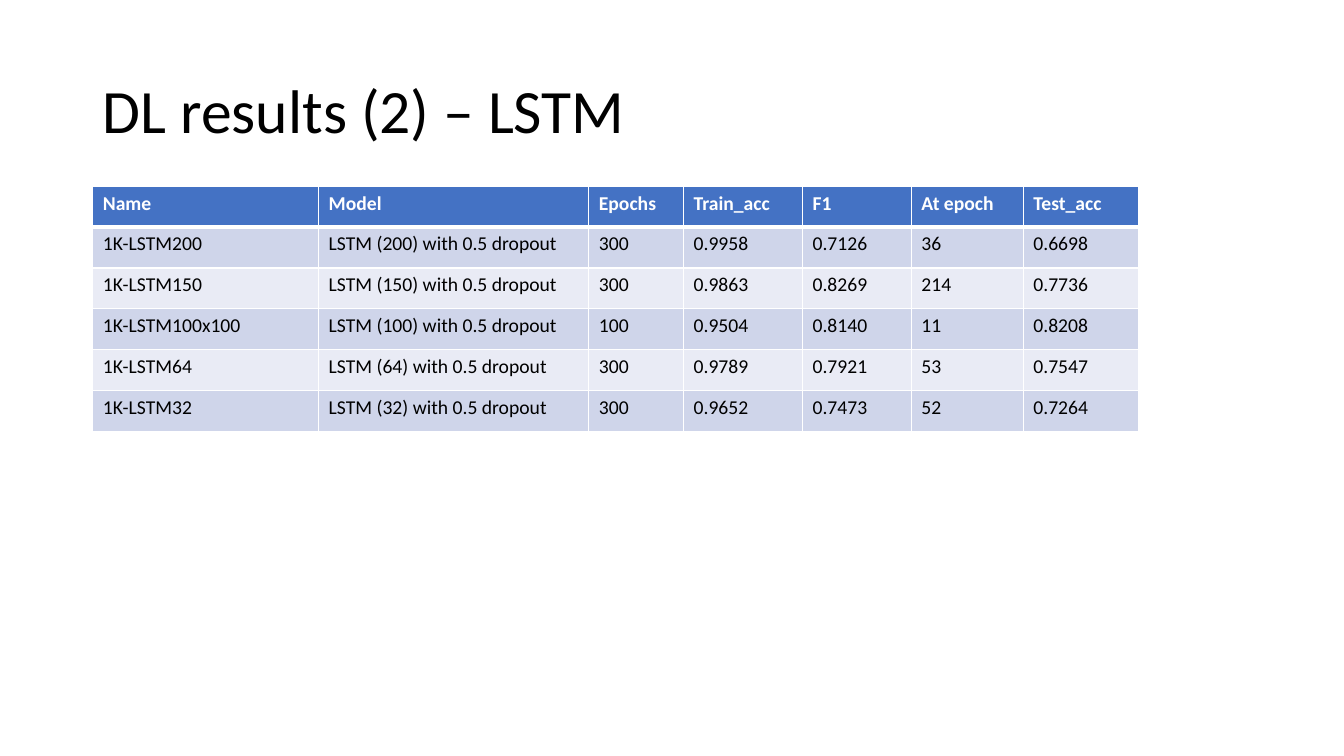
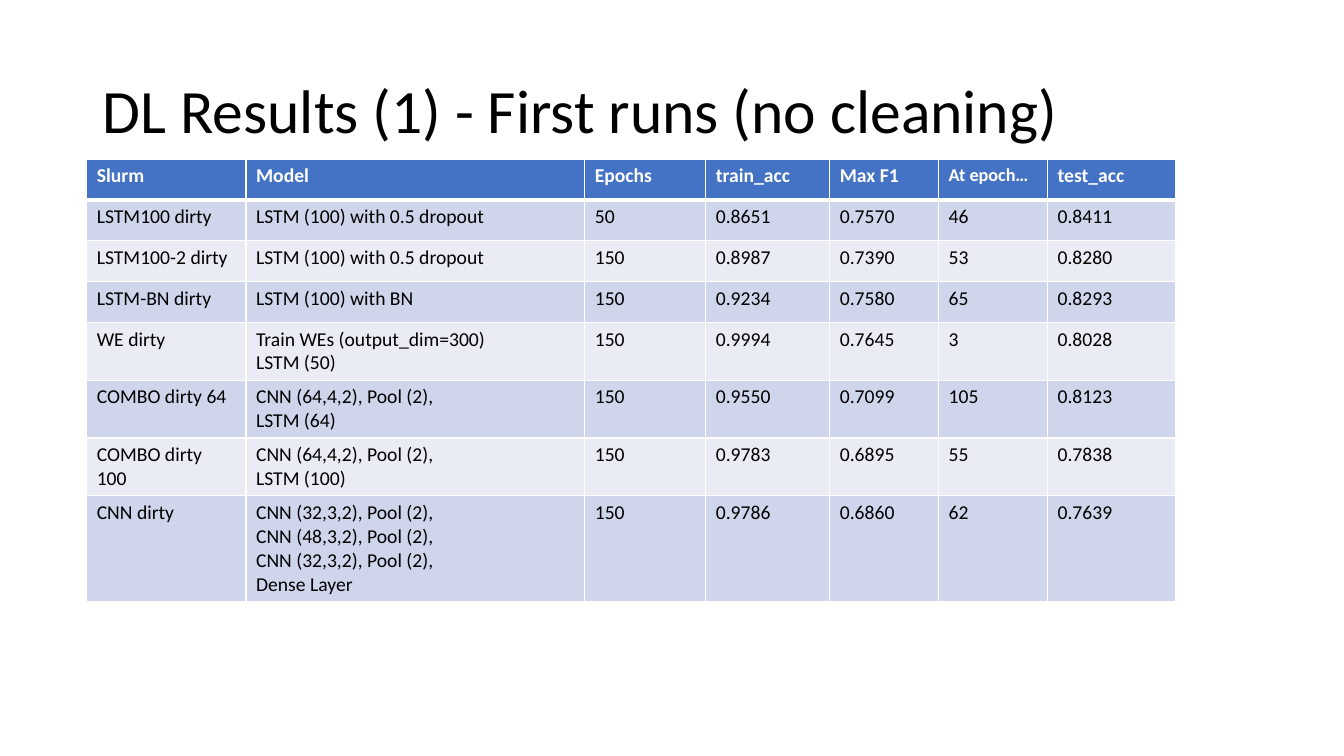
"""Builds two slides of deep-learning results, each a title over a banded table."""
from lxml.etree import SubElement
from pptx import Presentation
from pptx.dml.color import RGBColor
from pptx.enum.text import MSO_ANCHOR, PP_ALIGN
from pptx.oxml.ns import qn
from pptx.util import Inches, Pt

FONT = "Calibri"
BLACK, WHITE, BLUE = "000000", "FFFFFF", "4472C4"
BANDS = ("CFD5EA", "E9EBF5")
ROW, PAD, LINE = 2.43 / 6, 0.1, 0.235

SLIDES = [
    {
        "title": "DL results (2) – LSTM",
        "at": (0.92, 1.85),
        "cols": (2.24, 2.68, 0.94, 1.18, 1.08, 1.11, 1.14),
        "rows": [
            ("Name", "Model", "Epochs", "Train_acc", "F1", "At epoch", "Test_acc"),
            ("1K-LSTM200", "LSTM (200) with 0.5 dropout", "300", "0.9958", "0.7126", "36", "0.6698"),
            ("1K-LSTM150", "LSTM (150) with 0.5 dropout", "300", "0.9863", "0.8269", "214", "0.7736"),
            ("1K-LSTM100x100", "LSTM (100) with 0.5 dropout", "100", "0.9504", "0.8140", "11", "0.8208"),
            ("1K-LSTM64", "LSTM (64) with 0.5 dropout", "300", "0.9789", "0.7921", "53", "0.7547"),
            ("1K-LSTM32", "LSTM (32) with 0.5 dropout", "300", "0.9652", "0.7473", "52", "0.7264"),
        ],
    },
    {
        "title": "DL Results (1) - First runs (no cleaning)",
        "at": (0.86, 1.58),
        "cols": (1.58, 3.36, 1.2, 1.23, 1.08, 1.08, 1.27),
        "rows": [
            ("Slurm", "Model", "Epochs", "train_acc", "Max F1", "At epoch…", "test_acc"),
            ("LSTM100 dirty", "LSTM (100) with 0.5 dropout", "50", "0.8651", "0.7570", "46", "0.8411"),
            ("LSTM100-2 dirty", "LSTM (100) with 0.5 dropout", "150", "0.8987", "0.7390", "53", "0.8280"),
            ("LSTM-BN dirty", "LSTM (100) with BN", "150", "0.9234", "0.7580", "65", "0.8293"),
            ("WE dirty", "Train WEs (output_dim=300)\nLSTM (50)", "150", "0.9994", "0.7645", "3", "0.8028"),
            ("COMBO dirty 64", "CNN (64,4,2), Pool (2),\nLSTM (64)", "150", "0.9550", "0.7099", "105", "0.8123"),
            ("COMBO dirty 100", "CNN (64,4,2), Pool (2),\nLSTM (100)", "150", "0.9783", "0.6895", "55", "0.7838"),
            ("CNN dirty",
             "CNN (32,3,2), Pool (2),\nCNN (48,3,2), Pool (2),\nCNN (32,3,2), Pool (2),\nDense Layer",
             "150", "0.9786", "0.6860", "62", "0.7639"),
        ],
    },
]
SMALL = {"At epoch…": 13}


def color(code):
    return RGBColor.from_string(code)


def write(frame, text, size, ink, bold=False):
    for i, line in enumerate(text.split("\n")):
        para = frame.add_paragraph() if i else frame.paragraphs[0]
        run = para.add_run()
        run.text = line
        run.font.name, run.font.size, run.font.bold = FONT, Pt(size), bold
        run.font.color.rgb = color(ink)


def border(cell, row):
    props = cell._tc.get_or_add_tcPr()
    thick = {"lnT": row == 1, "lnB": row == 0}
    for side in ("lnL", "lnR", "lnT", "lnB"):
        edge = SubElement(props, qn(f"a:{side}"), w=str(Pt(3 if thick.get(side) else 1)))
        fill = SubElement(edge, qn("a:solidFill"))
        SubElement(fill, qn("a:srgbClr"), val=WHITE)


def add_title(slide, text):
    title = slide.shapes.title
    title.left, title.top = Inches(0.92), Inches(0.4)
    title.width, title.height = Inches(11.5), Inches(1.45)
    frame = title.text_frame
    frame.vertical_anchor = MSO_ANCHOR.MIDDLE
    write(frame, text, 44, BLACK)
    frame.paragraphs[0].alignment = PP_ALIGN.LEFT
    frame.paragraphs[0].line_spacing = 0.9


def add_grid(slide, at, cols, rows):
    tall = [max(ROW, PAD + LINE * (row[1].count("\n") + 1)) for row in rows]
    box = [Inches(n) for n in (*at, sum(cols), sum(tall))]
    table = slide.shapes.add_table(len(rows), len(cols), *box).table
    for col, width in zip(table.columns, cols):
        col.width = Inches(width)
    for r, row in enumerate(rows):
        table.rows[r].height = Inches(tall[r])
        head = r == 0
        for c, text in enumerate(row):
            cell = table.cell(r, c)
            border(cell, r)
            cell.fill.solid()
            cell.fill.fore_color.rgb = color(BLUE if head else BANDS[(r - 1) % 2])
            write(cell.text_frame, text, SMALL.get(text, 14), WHITE if head else BLACK, head)


def main():
    deck = Presentation()
    deck.slide_width, deck.slide_height = Inches(13.33), Inches(7.5)
    for item in SLIDES:
        slide = deck.slides.add_slide(deck.slide_layouts[5])
        add_title(slide, item["title"])
        add_grid(slide, item["at"], item["cols"], item["rows"])
    deck.save("out.pptx")


if __name__ == "__main__":
    main()
